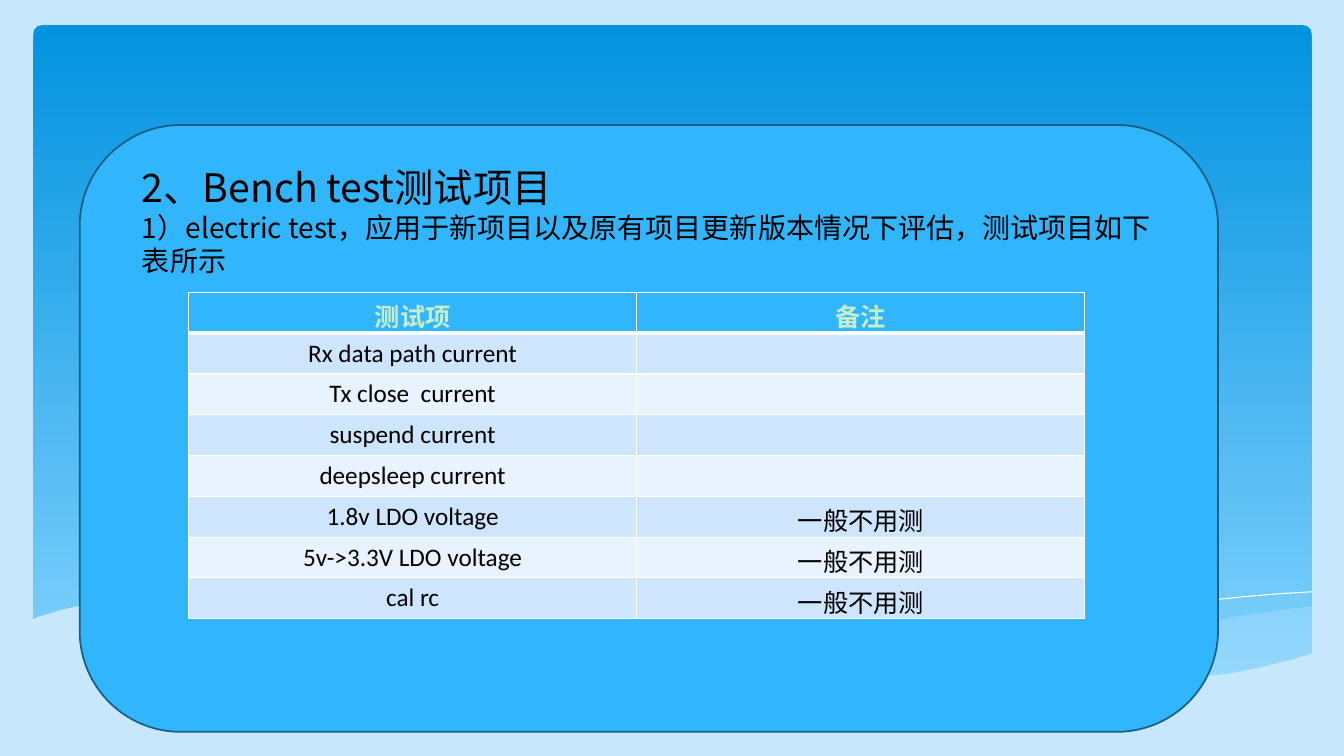
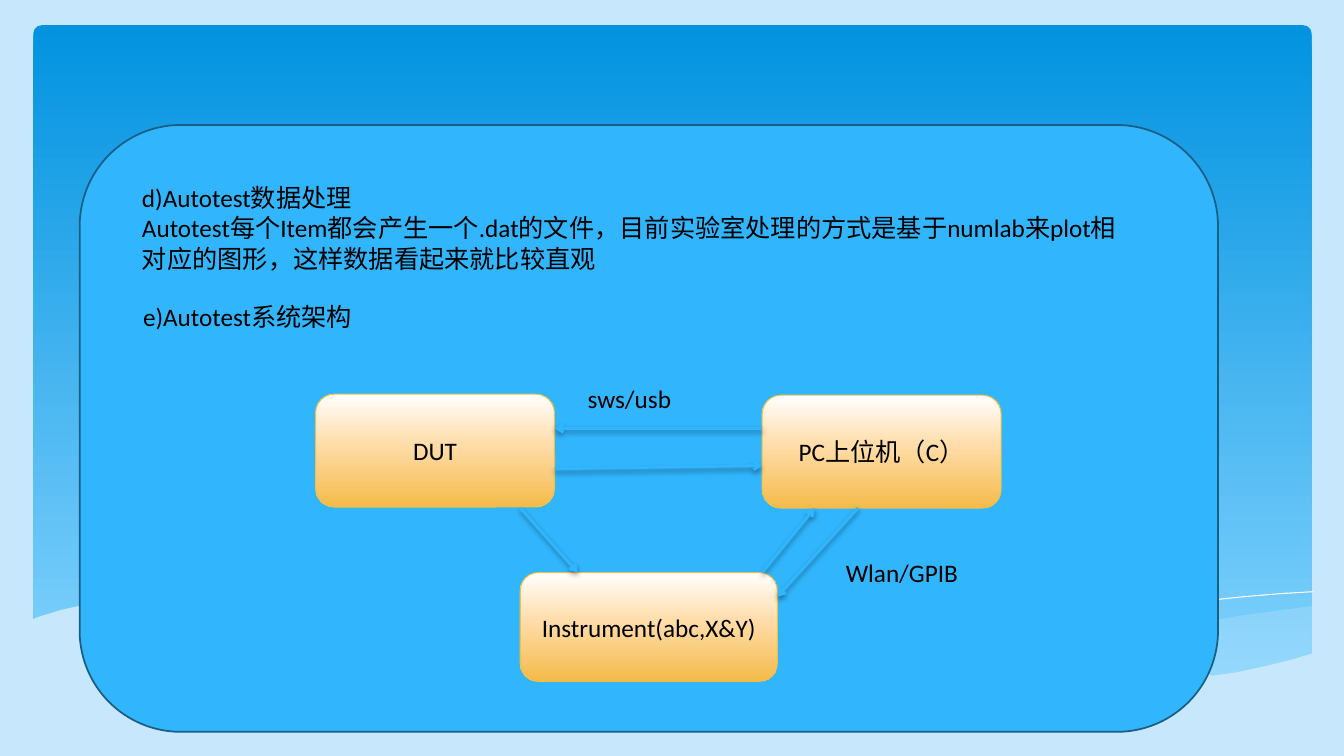
from dataclasses import dataclass

from lxml import etree
from pptx import Presentation
from pptx.dml.color import RGBColor
from pptx.enum.shapes import MSO_CONNECTOR, MSO_SHAPE
from pptx.enum.text import MSO_ANCHOR, MSO_AUTO_SIZE, PP_ALIGN
from pptx.oxml.ns import qn
from pptx.util import Inches, Pt

ROUNDED = MSO_SHAPE.ROUNDED_RECTANGLE
STRAIGHT = MSO_CONNECTOR.STRAIGHT
MIDDLE = MSO_ANCHOR.MIDDLE
GROW = MSO_AUTO_SIZE.SHAPE_TO_FIT_TEXT
CENTER = PP_ALIGN.CENTER
LEFT = PP_ALIGN.LEFT


@dataclass(frozen=True)
class Theme:
    background: str = "C6E7FC"
    sky: tuple = ((0, "0293E0"), (100, "83D3FE"))
    amber: tuple = ((0, "FFFFFF"), (44, "FFDDAA"), (100, "F4BB4A"))
    amber_line: str = "F5C040"
    panel: str = "31B6FD"
    panel_line: str = "195F84"
    white: str = "FFFFFF"
    text: str = "000000"
    header_text: str = "C7EDCC"
    bands: tuple = ("CEE5FE", "E8F3FF")
    font: str = "Calibri"
    heading_font: str = "Noto Sans CJK SC"
    heading_size: int = 28
    subheading_size: int = 20
    body_size: int = 18


THEME = Theme()

SWELL = (
    (13.02, 6.01), (12.66, 6.06), (12.29, 6.11), (11.9, 6.18), (11.49, 6.25),
    (10.75, 6.39), (10.06, 6.5), (9.42, 6.59), (8.83, 6.67), (9.22, 6.71),
    (9.59, 6.74), (9.94, 6.77), (10.27, 6.79), (10.72, 6.8), (11.14, 6.79),
    (11.52, 6.77), (11.87, 6.74), (12.19, 6.69), (12.49, 6.63), (12.67, 6.59),
    (12.85, 6.54), (13.03, 6.49), (13.03, 6.01),
)
FALLING_CURVE = (
    (4.13, 5.97), (4.38, 5.94), (4.71, 5.91), (5.17, 5.89), (5.77, 5.89),
    (6.26, 5.9), (6.81, 5.94), (7.43, 5.98), (8.12, 6.06), (8.88, 6.15),
    (9.71, 6.28), (10.61, 6.43), (11.59, 6.62), (12.11, 6.73),
)
RISING_CURVE = (
    (8.19, 6.59), (8.71, 6.48), (9.28, 6.37), (9.98, 6.25), (10.76, 6.12),
    (11.56, 6), (11.95, 5.96), (12.33, 5.92), (12.69, 5.89), (13.02, 5.87),
)
FOREGROUND_WAVE = (
    (13.03, 6.48), (12.79, 6.55), (12.54, 6.61), (12.27, 6.67), (11.98, 6.71),
    (11.67, 6.75), (11.34, 6.77), (10.97, 6.79), (10.58, 6.78), (10.15, 6.77),
    (9.69, 6.74), (9.18, 6.7), (8.63, 6.64), (8.04, 6.56), (7.4, 6.47),
    (6.71, 6.35), (5.96, 6.22), (5.21, 6.09), (4.53, 5.99), (3.9, 5.92),
    (3.33, 5.88), (2.82, 5.86), (2.35, 5.86), (1.94, 5.87), (1.58, 5.89),
    (1.27, 5.93), (1.01, 5.97), (0.79, 6.01), (0.61, 6.05), (0.48, 6.09),
    (0.38, 6.12), (0.31, 6.15), (0.31, 7.31), (13.02, 7.31),
)

TEST_ITEMS = (
    ("测试项", "备注"),
    ("Rx data path current", ""),
    ("Tx close  current", ""),
    ("suspend current", ""),
    ("deepsleep current", ""),
    ("1.8v LDO voltage", "一般不用测"),
    ("5v->3.3V LDO voltage", "一般不用测"),
    ("cal rc", "一般不用测"),
)

CARDS = (
    ("PC上位机（C）", 7.56, 3.92, 2.37, 1.12),
    ("DUT", 3.13, 3.91, 2.37, 1.12),
    ("Instrument(abc,X&Y)", 5.16, 5.68, 2.55, 1.08),
)
ARROWS = (
    (7.56, 4.25, 5.5, 4.25),
    (5.5, 4.65, 7.56, 4.62),
    (5.16, 5.04, 5.73, 5.68),
    (7.56, 5.68, 8.08, 5.04),
    (8.51, 5.04, 7.71, 5.92),
)


def rgb(color):
    return RGBColor.from_string(color)


def add_element(parent, tag, **attributes):
    names = {name: str(value) for name, value in attributes.items()}
    return etree.SubElement(parent, qn(tag), names)


def add_color(parent, color, alpha=None):
    element = add_element(parent, "a:srgbClr", val=color)
    if alpha is not None:
        add_element(element, "a:alpha", val=alpha * 1000)


def fill_solid(shape, color, alpha=None):
    shape.fill.solid()
    shape.fill.fore_color.rgb = rgb(color)
    if alpha is not None:
        element = shape._element.spPr.find(qn("a:solidFill")).find(qn("a:srgbClr"))
        add_element(element, "a:alpha", val=alpha * 1000)


def fill_gradient(shape, stops):
    shape.fill.gradient()
    shape.fill.gradient_angle = 270
    stop_list = shape._element.spPr.find(qn("a:gradFill")).find(qn("a:gsLst"))
    for stop in list(stop_list):
        stop_list.remove(stop)
    for position, color in stops:
        add_color(add_element(stop_list, "a:gs", pos=position * 1000), color)


def set_line(shape, color, width):
    shape.line.color.rgb = rgb(color)
    shape.line.width = Pt(width)


def style_paragraph(paragraph, size=THEME.body_size, font=THEME.font,
                    color=THEME.text, bold=False, alignment=LEFT):
    paragraph.alignment = alignment
    paragraph.font.size = Pt(size)
    paragraph.font.name = font
    paragraph.font.color.rgb = rgb(color)
    paragraph.font.bold = bold


def add_rounded(slide, left, top, width, height):
    shape = slide.shapes.add_shape(
        ROUNDED, Inches(left), Inches(top), Inches(width), Inches(height))
    shape.shadow.inherit = False
    return shape


def add_outline(slide, points, closed):
    corners = [(Inches(x), Inches(y)) for x, y in points]
    builder = slide.shapes.build_freeform(*corners[0])
    builder.add_line_segments(corners[1:], close=closed)
    shape = builder.convert_to_shape()
    shape.shadow.inherit = False
    return shape


def add_wave(slide, points, alpha=None):
    shape = add_outline(slide, points, True)
    fill_solid(shape, THEME.background, alpha)
    shape.line.fill.background()


def add_curve(slide, points):
    shape = add_outline(slide, points, False)
    shape.fill.background()
    set_line(shape, THEME.white, 0)


def add_text(slide, left, top, width, height, lines, font=THEME.font):
    box = slide.shapes.add_textbox(
        Inches(left), Inches(top), Inches(width), Inches(height))
    frame = box.text_frame
    frame.word_wrap = True
    frame.auto_size = GROW
    frame.text = "\n".join(text for text, size in lines)
    for paragraph, (text, size) in zip(frame.paragraphs, lines):
        style_paragraph(paragraph, size, font)


def add_card(slide, text, left, top, width, height):
    card = add_rounded(slide, left, top, width, height)
    fill_gradient(card, THEME.amber)
    set_line(card, THEME.amber_line, 0.75)
    frame = card.text_frame
    frame.word_wrap = True
    frame.vertical_anchor = MIDDLE
    frame.text = text
    style_paragraph(frame.paragraphs[0], alignment=CENTER)


def add_arrow(slide, *ends):
    arrow = slide.shapes.add_connector(STRAIGHT, *map(Inches, ends))
    set_line(arrow, THEME.panel, 2)
    properties = arrow._element.spPr
    add_element(properties.find(qn("a:ln")), "a:tailEnd", type="arrow")
    effects = add_element(properties, "a:effectLst")
    shadow = add_element(effects, "a:outerShdw", blurRad=Pt(4), dist=Pt(2),
                         dir=90 * 60000, rotWithShape=0)
    add_color(shadow, THEME.text, 38)


def set_borders(cell, top=1, bottom=1):
    properties = cell._tc.get_or_add_tcPr()
    for side, width in (("L", 1), ("R", 1), ("T", top), ("B", bottom)):
        line = add_element(properties, f"a:ln{side}", w=Pt(width))
        add_color(add_element(line, "a:solidFill"), THEME.white)


def add_test_table(slide, left, top, width, height, rows):
    table = slide.shapes.add_table(
        len(rows), len(rows[0]), Inches(left), Inches(top),
        Inches(width), Inches(height)).table
    for row_index, row in enumerate(rows):
        header = row_index == 0
        fill = THEME.panel if header else THEME.bands[(row_index - 1) % 2]
        for column_index, text in enumerate(row):
            cell = table.cell(row_index, column_index)
            set_borders(cell, top=3 if row_index == 1 else 1,
                        bottom=3 if header else 1)
            cell.fill.solid()
            cell.fill.fore_color.rgb = rgb(fill)
            cell.text = text
            style_paragraph(cell.text_frame.paragraphs[0], bold=header,
                            color=THEME.header_text if header else THEME.text,
                            alignment=CENTER)


def add_base_slide(presentation):
    slide = presentation.slides.add_slide(presentation.slide_layouts[6])
    sky = add_rounded(slide, 0.33, 0.25, 12.68, 6.6)
    sky.adjustments[0] = 0.013
    fill_gradient(sky, THEME.sky)
    sky.line.fill.background()
    add_wave(slide, SWELL, alpha=29)
    add_curve(slide, FALLING_CURVE)
    add_curve(slide, RISING_CURVE)
    add_wave(slide, FOREGROUND_WAVE)
    panel = add_rounded(slide, 0.79, 1.24, 11.29, 6.02)
    fill_solid(panel, THEME.panel)
    set_line(panel, THEME.panel_line, 1.25)
    return slide


def add_bench_test_slide(presentation):
    slide = add_base_slide(presentation)
    add_text(slide, 1.31, 1.57, 10.25, 1.25, (
        ("2、Bench test测试项目", THEME.heading_size),
        ("1）electric test，应用于新项目以及原有项目更新版本情况下评估，测试项目如下表所示",
         THEME.subheading_size),
    ), THEME.heading_font)
    add_test_table(slide, 1.87, 2.9, 8.89, 3.24, TEST_ITEMS)


def add_autotest_slide(presentation):
    slide = add_base_slide(presentation)
    size = THEME.body_size
    add_text(slide, 1.31, 1.76, 10.09, 1.01, (
        ("d)Autotest数据处理", size),
        ("Autotest每个Item都会产生一个.dat的文件，目前实验室处理的方式是基于numlab来plot"
         "相对应的图形，这样数据看起来就比较直观", size),
    ))
    add_text(slide, 1.32, 2.94, 10.09, 0.4, (("e)Autotest系统架构", size),))
    for card in CARDS:
        add_card(slide, *card)
    for arrow in ARROWS:
        add_arrow(slide, *arrow)
    add_text(slide, 5.73, 3.75, 1.54, 0.4, (("sws/usb", size),))
    add_text(slide, 8.29, 5.48, 1.41, 0.4, (("Wlan/GPIB", size),))


def main():
    presentation = Presentation()
    presentation.slide_width = Inches(13.33)
    presentation.slide_height = Inches(7.5)
    background = presentation.slide_master.background.fill
    background.solid()
    background.fore_color.rgb = rgb(THEME.background)
    add_bench_test_slide(presentation)
    add_autotest_slide(presentation)
    presentation.save("out.pptx")


if __name__ == "__main__":
    main()
